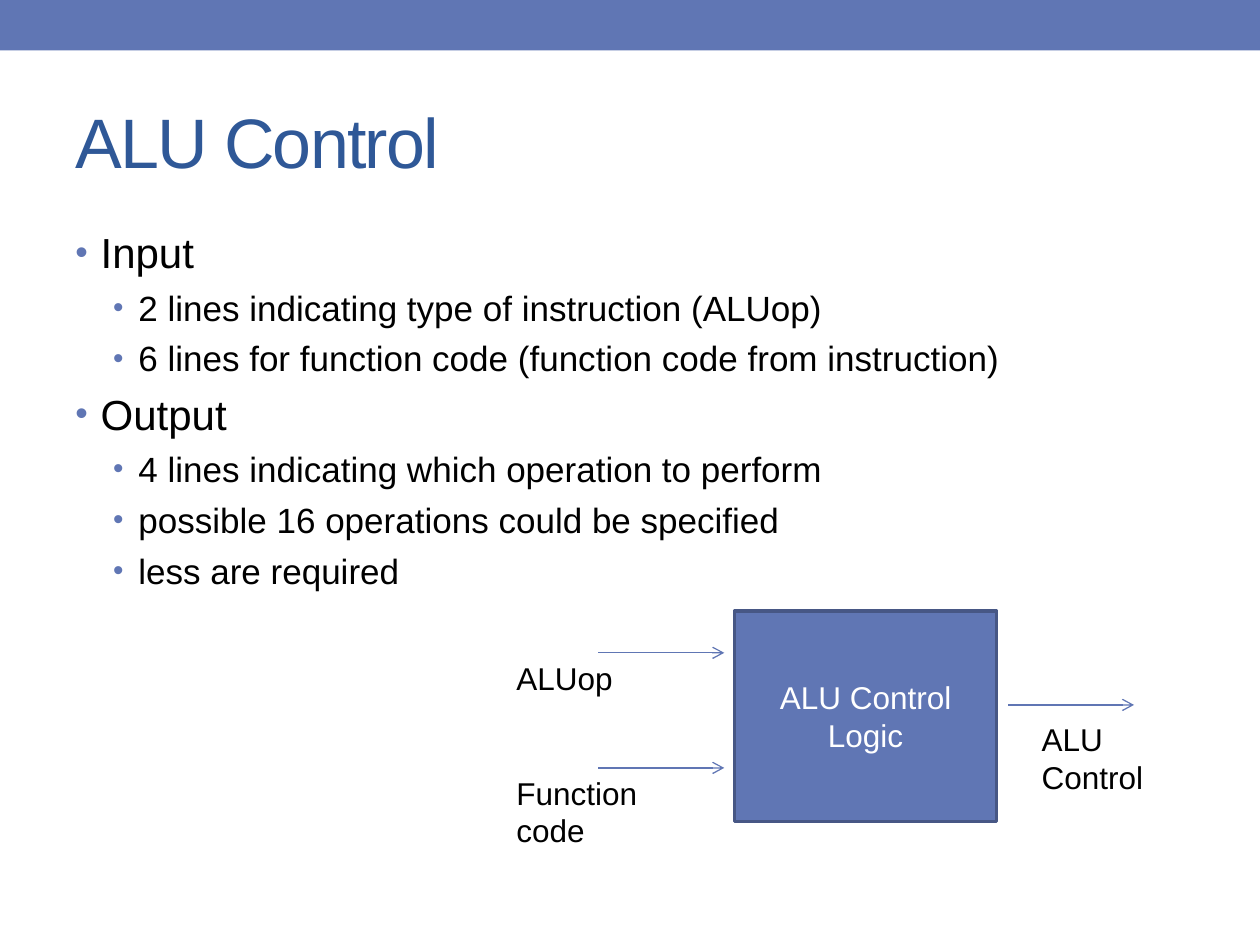
import pptx
import pptx.dml.color
import pptx.enum.shapes
import pptx.enum.text
import pptx.oxml
import pptx.oxml.ns
import pptx.util
from pptx.util import Cm, Pt

BLUE, NAVY, EDGE = "6076B4", "2F5897", "475785"
BLACK, WHITE = "000000", "FFFFFF"
RECT = pptx.enum.shapes.MSO_SHAPE.RECTANGLE
ALIGN = pptx.enum.text.PP_ALIGN
MIDDLE = pptx.enum.text.MSO_ANCHOR.MIDDLE

POINTS = [
    (0, "Input"),
    (1, "2 lines indicating type of instruction (ALUop)"),
    (1, "6 lines for function code (function code from instruction)"),
    (0, "Output"),
    (1, "4 lines indicating which operation to perform"),
    (1, "possible 16 operations could be specified"),
    (1, "less are required"),
]
# Font size, space before, left indent in cm
LEVELS = [(24, 5.5, 0.51), (20, 5, 1.27)]
HANG = 0.51


def color(text):
    return pptx.dml.color.RGBColor.from_string(text)


def style(para, size, tint):
    para.font.name = "Arial"
    para.font.size = Pt(size)
    para.font.color.rgb = color(tint)


def add_xml(parent, text):
    head, rest = text.split(" ", 1) if " " in text else (text[:-2], "/>")
    spaced = f"{head} {pptx.oxml.ns.nsdecls('a')} {rest}"
    parent.append(pptx.oxml.parse_xml(spaced))


def add_rect(slide, box, fill, edge=None):
    shape = slide.shapes.add_shape(RECT, *map(Cm, box))
    shape.shadow.inherit = False
    shape.fill.solid()
    shape.fill.fore_color.rgb = color(fill)
    if edge:
        shape.line.color.rgb = color(edge)
        shape.line.width = Pt(2.08)
    else:
        shape.line.fill.background()
    return shape


def add_text(slide, box):
    frame = slide.shapes.add_textbox(*map(Cm, box)).text_frame
    frame.word_wrap = True
    return frame


def add_title(slide, box, text):
    title = slide.shapes.title
    title.left, title.top, title.width, title.height = map(Cm, box)
    frame = title.text_frame
    frame.text = text
    frame.vertical_anchor = MIDDLE
    para = frame.paragraphs[0]
    para.alignment = ALIGN.LEFT
    style(para, 40, NAVY)
    para.runs[0].font._element.set("spc", "-100")


def add_bullets(slide, box, points):
    frame = add_text(slide, box)
    frame.text = "\n".join(text for _, text in points)
    for para, (level, _) in zip(frame.paragraphs, points):
        size, gap, left = LEVELS[level]
        para.level = level
        para.space_before = Pt(gap)
        style(para, size, BLACK)
        props = para._p.get_or_add_pPr()
        props.set("marL", str(Cm(left)))
        props.set("indent", str(-Cm(HANG)))
        marks = [
            f'<a:buClr ><a:srgbClr val="{BLUE}"/></a:buClr>',
            '<a:buSzPct val="85000"/>',
            '<a:buFont typeface="Arial"/>',
            '<a:buChar char="•"/>',
        ]
        for spot, mark in enumerate(marks, 1):
            add_xml(props, mark)
            props.insert(spot, props[-1])


def add_arrow(slide, x, y, size):
    kind = pptx.enum.shapes.MSO_CONNECTOR.STRAIGHT
    line = slide.shapes.add_connector(kind, Cm(x), Cm(y), Cm(x + size), Cm(y))
    line.line.color.rgb = color(BLUE)
    line.line.width = Pt(0.75)
    add_xml(line.line._get_or_add_ln(), '<a:tailEnd type="arrow"/>')
    add_xml(line._element.spPr, "<a:effectLst/>")


def add_label(slide, box, text):
    frame = add_text(slide, box)
    frame.text = text
    for para in frame.paragraphs:
        style(para, 18, BLACK)


def add_diagram(slide, box):
    """Control block with two inputs on its left and one output on its right."""
    left, top, _, high = box
    block = add_rect(slide, (left + 4.65, top, 5.28, high), BLUE, EDGE)
    frame = block.text_frame
    frame.word_wrap = True
    frame.vertical_anchor = MIDDLE
    frame.text = "ALU Control Logic"
    frame.paragraphs[0].alignment = ALIGN.CENTER
    style(frame.paragraphs[0], 18, WHITE)

    for x, y in [(1.9, 0.84), (1.9, 3.16), (10.16, 1.89)]:
        add_arrow(slide, left + x, top + y, 2.54)
    labels = [
        (0, 0.84, 3.12, 1.27, "ALUop"),
        (0, 3.15, 3.78, 2.31, "Function\ncode"),
        (10.59, 2.08, 3.61, 2.31, "ALU Control"),
    ]
    for x, y, wide, tall, text in labels:
        add_label(slide, (left + x, top + y, wide, tall), text)


def main():
    deck = pptx.Presentation()
    deck.slide_width, deck.slide_height = Cm(25.4), Cm(19.05)
    slide = deck.slides.add_slide(deck.slide_layouts[5])
    add_rect(slide, (0, 0, 25.4, 1.02), BLUE)
    add_title(slide, (1.27, 1.47, 22.86, 2.74), "ALU Control")
    add_bullets(slide, (1.27, 4.45, 22.86, 13.54), POINTS)
    add_diagram(slide, (10.16, 12.32, 14.2, 4.24))
    deck.save("out.pptx")


if __name__ == "__main__":
    main()
